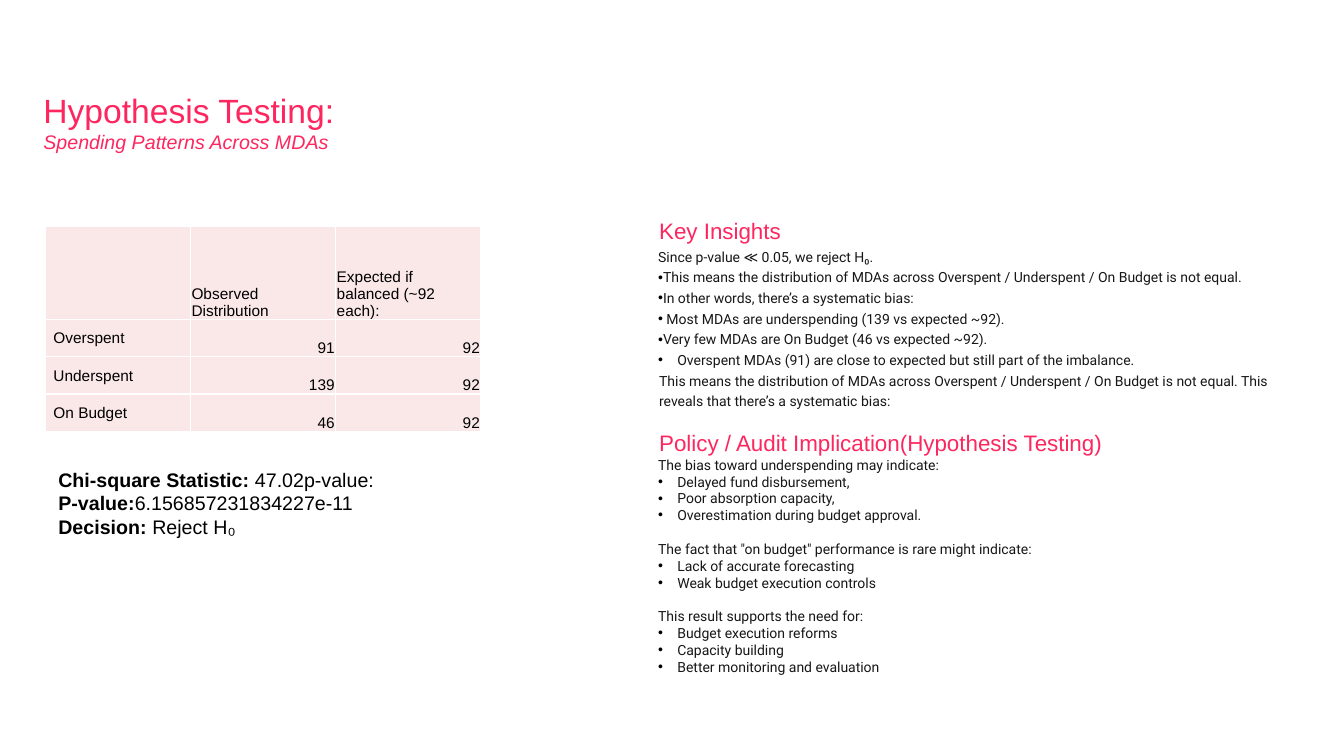
from lxml import etree
from pptx import Presentation, util as u
from pptx.dml.color import RGBColor
from pptx.enum import text
from pptx.oxml import ns

PINK = RGBColor(0xFD, 0x26, 0x5E)
BLUSH = RGBColor(0xFA, 0xE8, 0xE8)
INK = RGBColor(0x18, 0x17, 0x17)
BLACK = RGBColor(0, 0, 0)
WHITE = RGBColor(0xFF, 0xFF, 0xFF)

TITLE_FONT = {"name": "Arial", "size": u.Pt(24), "color": PINK}
SUBTITLE_FONT = {"name": "Arial", "size": u.Pt(14), "italic": True, "color": PINK}
HEADING_FONT = {"name": "Arial", "size": u.Pt(16), "color": PINK}
BODY_FONT = {"name": "Roboto", "size": u.Pt(10), "color": INK}
TABLE_FONT = {"name": "Arial", "size": u.Pt(11), "color": BLACK}
LABEL_FONT = {"name": "Arial", "size": u.Pt(14), "bold": True, "color": BLACK}
RESULT_FONT = {**LABEL_FONT, "bold": False}

TITLE = [("Hypothesis Testing:", TITLE_FONT), ("Spending Patterns Across MDAs", SUBTITLE_FONT)]
RESULTS = [
    [("Chi-square Statistic: ", "47.02p-value: "), ("P-value:", "6.156857231834227e-11")],
    [("Decision: ", "Reject H₀")],
]
TABLE = [
    ("", "Observed Distribution", "Expected if balanced (~92 each):"),
    ("Overspent", "91", "92"),
    ("Underspent", "139", "92"),
    ("On Budget", "46", "92"),
]
COLUMN_WIDTH = 1.44
ROW_HEIGHTS = [0.92, 0.37, 0.37, 0.37]

LOOSE = {"line_spacing": 1.21, "space_before": u.Pt(0.2)}
# style: (font, left margin, first-line indent, bulleted, paragraph format)
STYLES = {
    "heading": (HEADING_FONT, 0.01, 0, False, {}),
    "next heading": (HEADING_FONT, 0.01, 0, False, {"space_before": u.Pt(14.4)}),
    "intro": (BODY_FONT, 0, 0, False, LOOSE),
    "tight bullet": (BODY_FONT, 0.01, -0.19, True, LOOSE),
    "loose bullet": (BODY_FONT, 0.19, -0.19, True, LOOSE),
    "summary": (BODY_FONT, 0.01, 0, False, LOOSE),
    "lead": (BODY_FONT, 0, 0, False, {}),
    "next lead": (BODY_FONT, 0, 0, False, {"space_before": u.Pt(12)}),
    "bullet": (BODY_FONT, 0.19, -0.19, True, {}),
}
INSIGHTS = [
    ("heading", "Key Insights"),
    ("intro", "Since p-value ≪ 0.05, we reject H₀."),
    ("tight bullet", "This means the distribution of MDAs across Overspent / Underspent / "
                     "On Budget is not equal."),
    ("tight bullet", "In other words, there’s a systematic bias:"),
    ("tight bullet", " Most MDAs are underspending (139 vs expected ~92)."),
    ("tight bullet", "Very few MDAs are On Budget (46 vs expected ~92)."),
    ("loose bullet", "Overspent MDAs (91) are close to expected but still part of the imbalance."),
    ("summary", "This means the distribution of MDAs across Overspent / Underspent / "
                "On Budget is not equal. This reveals that there’s a systematic bias:"),
    ("next heading", "Policy / Audit Implication(Hypothesis Testing)"),
    ("lead", "The bias toward underspending may indicate:"),
    ("bullet", "Delayed fund disbursement,"),
    ("bullet", "Poor absorption capacity,"),
    ("bullet", "Overestimation during budget approval."),
    ("next lead", "The fact that \"on budget\" performance is rare might indicate:"),
    ("bullet", "Lack of accurate forecasting"),
    ("bullet", "Weak budget execution controls"),
    ("next lead", "This result supports the need for:"),
    ("bullet", "Budget execution reforms"),
    ("bullet", "Capacity building"),
    ("bullet", "Better monitoring and evaluation"),
]


def apply_format(target, values):
    for name, value in values.items():
        if name == "color":
            target.color.rgb = value
        else:
            setattr(target, name, value)


def add_run(paragraph, words, font):
    run = paragraph.add_run()
    run.text = words
    apply_format(run.font, font)


def paragraphs(frame, items):
    """Pair each item with a paragraph, the first being the one already there."""
    for index, item in enumerate(items):
        yield (frame.add_paragraph() if index else frame.paragraphs[0]), item


def set_indent(paragraph, left, first, bulleted=False):
    properties = paragraph._p.get_or_add_pPr()
    properties.set("marL", str(u.Inches(left)))
    properties.set("indent", str(u.Inches(first)))
    if bulleted:
        colour = etree.SubElement(properties, ns.qn("a:buClr"))
        etree.SubElement(colour, ns.qn("a:srgbClr"), val=str(BLACK))
        etree.SubElement(properties, ns.qn("a:buFont"), typeface="Arial")
        etree.SubElement(properties, ns.qn("a:buChar"), char="•")


def set_borders(cell):
    properties = cell._tc.get_or_add_tcPr()
    for side in "LRTB":
        line = etree.SubElement(properties, ns.qn(f"a:ln{side}"), w=str(u.Pt(1)))
        fill = etree.SubElement(line, ns.qn("a:solidFill"))
        etree.SubElement(fill, ns.qn("a:srgbClr"), val=str(WHITE))


def add_text_box(slide, *box):
    frame = slide.shapes.add_textbox(*map(u.Inches, box)).text_frame
    apply_format(frame, {"word_wrap": True, "auto_size": text.MSO_AUTO_SIZE.SHAPE_TO_FIT_TEXT})
    return frame


def add_title(slide):
    title = slide.shapes.title
    apply_format(title, {"left": u.Inches(0.42), "top": u.Inches(0.87),
                         "width": u.Inches(12.56), "height": u.Inches(0.66)})
    apply_format(title.text_frame, {
        "margin_left": 0, "margin_top": u.Inches(0.02), "margin_right": 0, "margin_bottom": 0,
        "word_wrap": True, "vertical_anchor": text.MSO_ANCHOR.TOP,
        "auto_size": text.MSO_AUTO_SIZE.SHAPE_TO_FIT_TEXT})
    for paragraph, (words, font) in paragraphs(title.text_frame, TITLE):
        set_indent(paragraph, 0.01, 0)
        paragraph.alignment = text.PP_ALIGN.LEFT
        add_run(paragraph, words, font)


def add_results(slide):
    for paragraph, pairs in paragraphs(add_text_box(slide, 0.48, 4.59, 3.42, 0.81), RESULTS):
        for label, result in pairs:
            add_run(paragraph, label, LABEL_FONT)
            add_run(paragraph, result, RESULT_FONT)


def add_insights(slide):
    for paragraph, (style, words) in paragraphs(add_text_box(slide, 6.43, 2.11, 6.46, 4.66), INSIGHTS):
        font, left, first, bulleted, spacing = STYLES[style]
        set_indent(paragraph, left, first, bulleted)
        apply_format(paragraph, spacing)
        add_run(paragraph, words, font)


def add_distribution_table(slide):
    columns = len(TABLE[0])
    box = (0.45, 2.25, COLUMN_WIDTH * columns, sum(ROW_HEIGHTS))
    table = slide.shapes.add_table(len(TABLE), columns, *map(u.Inches, box)).table
    apply_format(table, {"first_row": False, "horz_banding": False})
    for column in table.columns:
        column.width = u.Inches(COLUMN_WIDTH)
    for r, values in enumerate(TABLE):
        table.rows[r].height = u.Inches(ROW_HEIGHTS[r])
        for c, words in enumerate(values):
            cell = table.cell(r, c)
            is_label = r > 0 and c == 0
            set_borders(cell)
            cell.fill.solid()
            cell.fill.fore_color.rgb = BLUSH
            apply_format(cell, {
                "margin_left": u.Inches(0.08 if is_label else 0.01), "margin_top": u.Inches(0.01),
                "margin_right": u.Inches(0.01), "margin_bottom": 0,
                "vertical_anchor": text.MSO_ANCHOR.MIDDLE if is_label else text.MSO_ANCHOR.BOTTOM})
            if words:
                paragraph = cell.text_frame.paragraphs[0]
                if r and c:
                    paragraph.alignment = text.PP_ALIGN.RIGHT
                add_run(paragraph, words, TABLE_FONT)


def main():
    presentation = Presentation()
    presentation.slide_width, presentation.slide_height = u.Inches(13.33), u.Inches(7.5)
    slide = presentation.slides.add_slide(presentation.slide_layouts[5])
    add_title(slide)
    add_results(slide)
    add_insights(slide)
    add_distribution_table(slide)
    presentation.save("out.pptx")


if __name__ == "__main__":
    main()
